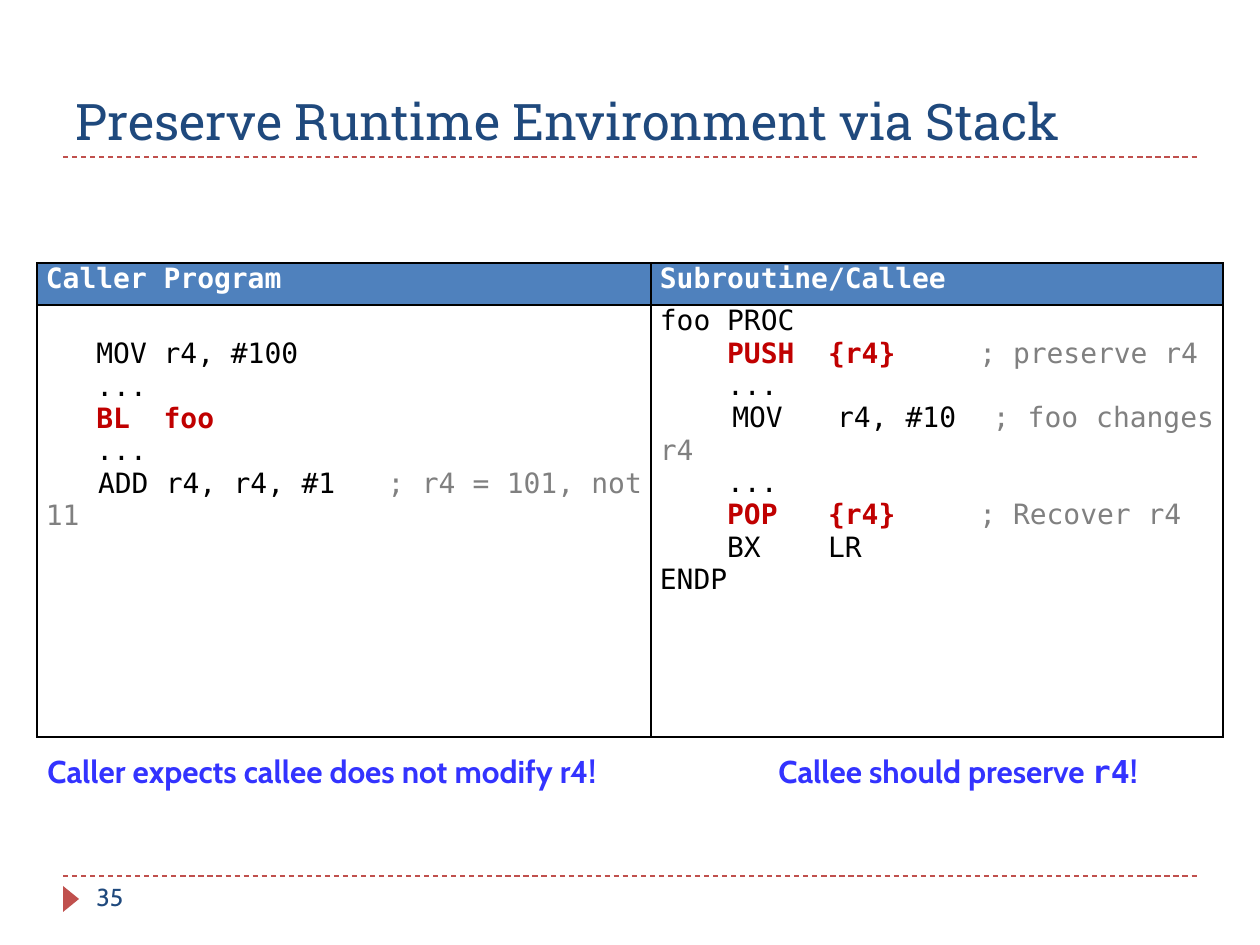
from dataclasses import dataclass

import pptx
import pptx.dml.color
import pptx.enum.dml
import pptx.enum.shapes
import pptx.enum.text
import pptx.oxml
import pptx.oxml.ns
import pptx.util

EMU_PER_PX = 914400 / 126
ALIGN = pptx.enum.text.PP_ALIGN
ANCHOR = pptx.enum.text.MSO_ANCHOR


@dataclass(frozen=True)
class Theme:
    navy: str = "1F497D"
    brick: str = "C0504D"
    header: str = "4F81BD"
    white: str = "FFFFFF"
    black: str = "000000"
    red: str = "C00000"
    grey: str = "808080"
    blue: str = "3333FF"
    heading_font: str = "Roboto Slab"
    body_font: str = "Cabin"
    code_font: str = "DejaVu Sans Mono"
    title_size: float = 28.8
    remark_size: float = 18
    code_size: float = 16
    number_size: float = 14


THEME = Theme()


@dataclass(frozen=True)
class Style:
    font: str
    size: float
    color: str
    bold: bool = False


TITLE = Style(THEME.heading_font, THEME.title_size, THEME.navy)
NUMBER = Style(THEME.body_font, THEME.number_size, THEME.navy)
HEADER = Style(THEME.code_font, THEME.code_size, THEME.white, True)
CODE = Style(THEME.code_font, THEME.code_size, THEME.black)
KEY = Style(THEME.code_font, THEME.code_size, THEME.red, True)
COMMENT = Style(THEME.code_font, THEME.code_size, THEME.grey)
REMARK = Style(THEME.body_font, THEME.remark_size, THEME.blue, True)
REMARK_CODE = Style(THEME.code_font, THEME.remark_size, THEME.blue, True)


@dataclass(frozen=True)
class Span:
    text: str
    style: Style = CODE


@dataclass(frozen=True)
class Box:
    left: int
    top: int
    width: int
    height: int

    def emu(self) -> tuple:
        return tuple(px(n) for n in (self.left, self.top, self.width, self.height))


Line = tuple[Span, ...]


@dataclass(frozen=True)
class Listing:
    heading: str
    width: int
    top_margin: int
    lines: tuple[Line, ...]


@dataclass(frozen=True)
class Remark:
    box: Box
    line: Line


ELLIPSIS = "..."
LISTINGS = (
    # The caller's code starts one line lower than the callee's.
    Listing("Caller Program", 614, 33, (
        (Span("   MOV r4, #100"),),
        (Span("   " + ELLIPSIS),),
        (Span("   "), Span("BL  foo", KEY)),
        (Span("   " + ELLIPSIS),),
        (Span("   ADD r4, r4, #1   "), Span("; r4 = 101, not 11", COMMENT)),
    )),
    Listing("Subroutine/Callee", 572, 0, (
        (Span("foo PROC"),),
        (Span("    "), Span("PUSH  {r4}     ", KEY), Span("; preserve r4", COMMENT)),
        (Span("    " + ELLIPSIS),),
        (Span("    MOV   r4, #10  "), Span("; foo changes r4", COMMENT)),
        (Span("    " + ELLIPSIS),),
        (Span("    "), Span("POP   {r4}     ", KEY), Span("; Recover r4", COMMENT)),
        (Span("    BX    LR"),),
        (Span("ENDP"),),
    )),
)
REMARKS = (
    Remark(Box(766, 746, 415, 50),
           (Span("Callee should preserve ", REMARK), Span("r4", REMARK_CODE), Span("!", REMARK))),
    Remark(Box(35, 746, 627, 50),
           (Span("Caller expects callee does not modify r4!", REMARK),)),
)


def px(length: int) -> int:
    return pptx.util.Emu(round(length * EMU_PER_PX))


def rgb(color: str) -> pptx.dml.color.RGBColor:
    return pptx.dml.color.RGBColor.from_string(color)


def write(frame, lines: tuple[Line, ...], align=ALIGN.LEFT) -> None:
    for index, line in enumerate(lines):
        paragraph = frame.paragraphs[0] if index == 0 else frame.add_paragraph()
        paragraph.alignment = align
        for span in line:
            run = paragraph.add_run()
            run.text = span.text
            run.font.name = span.style.font
            run.font.size = pptx.util.Pt(span.style.size)
            run.font.bold = span.style.bold
            run.font.color.rgb = rgb(span.style.color)


def add_title(slide, box: Box, text: str) -> None:
    title = slide.shapes.title
    title.left, title.top, title.width, title.height = box.emu()
    title.text_frame.auto_size = pptx.enum.text.MSO_AUTO_SIZE.NONE
    title.text_frame.vertical_anchor = ANCHOR.BOTTOM
    write(title.text_frame, ((Span(text, TITLE),),))


def add_rule(slide, y: int) -> None:
    rule = slide.shapes.add_connector(
        pptx.enum.shapes.MSO_CONNECTOR.STRAIGHT, px(63), px(y), px(1197), px(y))
    rule.line.color.rgb = rgb(THEME.brick)
    rule.line.width = pptx.util.Pt(0.75)
    rule.line.dash_style = pptx.enum.dml.MSO_LINE.DASH
    rule._element.spPr.append(pptx.oxml.parse_xml(
        f'<a:effectLst {pptx.oxml.ns.nsdecls("a")}/>'))


def add_shape(slide, kind, box: Box, color: str):
    shape = slide.shapes.add_shape(kind, *box.emu())
    shape.shadow.inherit = False
    shape.fill.solid()
    shape.fill.fore_color.rgb = rgb(color)
    shape.line.fill.background()
    return shape


def add_borders(cell) -> None:
    properties = cell._tc.get_or_add_tcPr()
    for index, side in enumerate(("lnL", "lnR", "lnT", "lnB")):
        properties.insert(index, pptx.oxml.parse_xml(
            f'<a:{side} {pptx.oxml.ns.nsdecls("a")} w="12700"><a:solidFill>'
            f'<a:srgbClr val="{THEME.black}"/></a:solidFill></a:{side}>'))


def fill_cell(cell, lines: tuple[Line, ...], top_margin: int = 0) -> None:
    cell.margin_left = cell.margin_right = px(9)
    cell.margin_top, cell.margin_bottom = px(top_margin), 0
    cell.vertical_anchor = ANCHOR.TOP
    write(cell.text_frame, lines, ALIGN.JUSTIFY)
    add_borders(cell)


def add_listings(slide, left: int, top: int, row_heights: tuple[int, int]) -> None:
    box = Box(left, top, sum(listing.width for listing in LISTINGS), sum(row_heights))
    table = slide.shapes.add_table(2, len(LISTINGS), *box.emu()).table
    table.horz_banding = False
    for row, height in zip(table.rows, row_heights):
        row.height = px(height)
    for column, listing in enumerate(LISTINGS):
        table.columns[column].width = px(listing.width)
        heading, code = table.cell(0, column), table.cell(1, column)
        heading.fill.solid()
        heading.fill.fore_color.rgb = rgb(THEME.header)
        code.fill.background()
        fill_cell(heading, ((Span(listing.heading, HEADER),),))
        fill_cell(code, listing.lines, listing.top_margin)


def add_remark(slide, remark: Remark) -> None:
    shape = add_shape(slide, pptx.enum.shapes.MSO_SHAPE.RECTANGLE, remark.box, THEME.white)
    shape.text_frame.word_wrap = False
    shape.text_frame.vertical_anchor = ANCHOR.TOP
    write(shape.text_frame, (remark.line,))


def main() -> None:
    deck = pptx.Presentation()
    deck.slide_width, deck.slide_height = px(1260), px(945)
    slide = deck.slides.add_slide(deck.slide_layouts[5])
    for y in (876, 157):
        add_rule(slide, y)
    marker = add_shape(slide, pptx.enum.shapes.MSO_SHAPE.ISOSCELES_TRIANGLE,
                       Box(58, 891, 26, 16), THEME.brick)
    marker.rotation = 90
    add_title(slide, Box(63, 21, 1134, 136), "Preserve Runtime Environment via Stack")
    number = slide.shapes.add_textbox(*Box(84, 876, 273, 50).emu())
    number.text_frame.word_wrap = True
    write(number.text_frame, ((Span("35", NUMBER),),))
    add_listings(slide, 37, 263, (42, 432))
    for remark in REMARKS:
        add_remark(slide, remark)
    deck.save("out.pptx")


if __name__ == "__main__":
    main()
